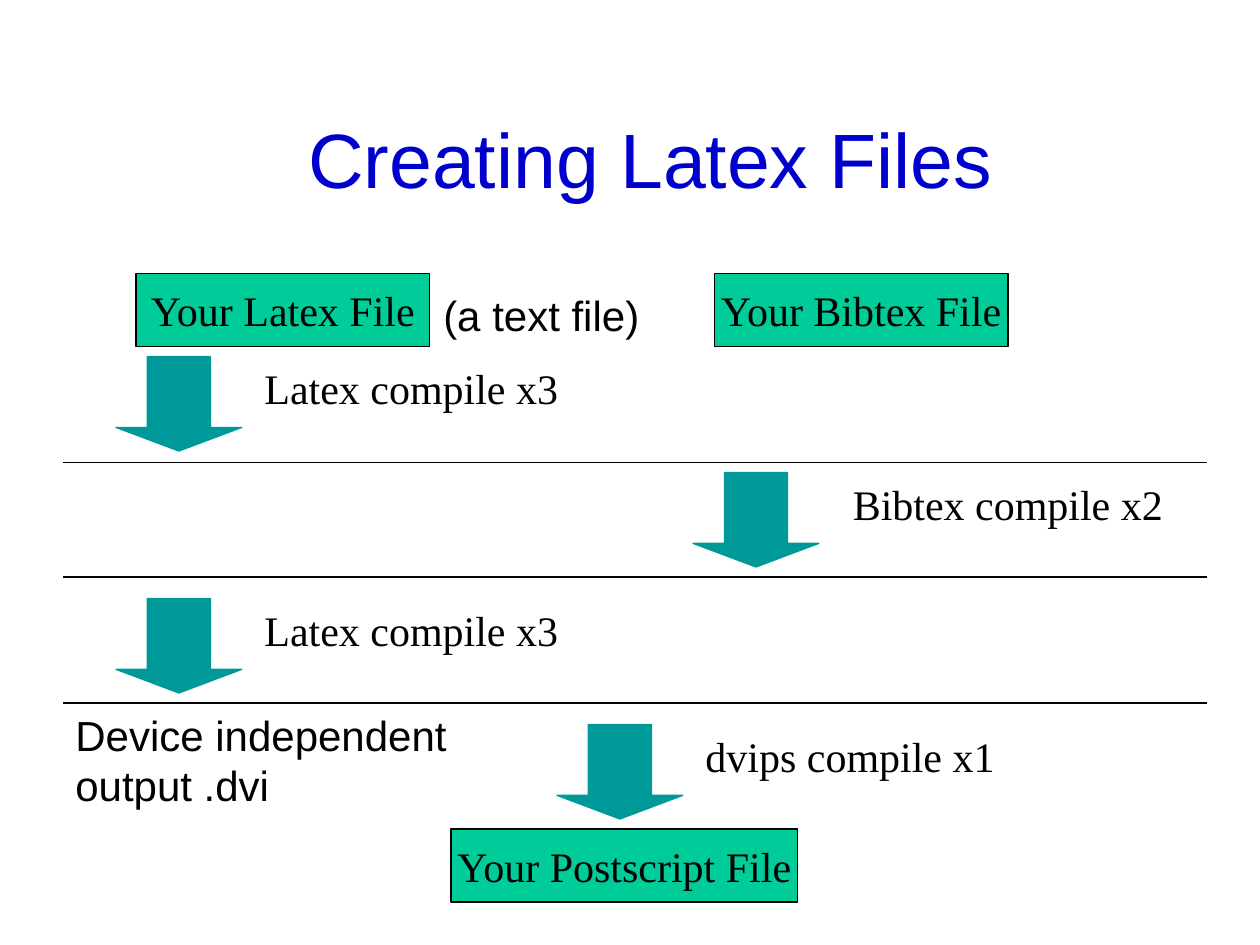
from dataclasses import dataclass

from lxml.etree import SubElement
from pptx import Presentation
from pptx.dml.color import RGBColor
from pptx.enum.shapes import MSO_CONNECTOR, MSO_SHAPE
from pptx.enum.text import MSO_ANCHOR, MSO_AUTO_SIZE, PP_ALIGN
from pptx.oxml.ns import qn
from pptx.util import Inches, Pt


@dataclass(frozen=True)
class Theme:
    title: RGBColor = RGBColor(0x00, 0x00, 0xCC)
    text: RGBColor = RGBColor(0x00, 0x00, 0x00)
    box: RGBColor = RGBColor(0x00, 0xCC, 0x99)
    arrow: RGBColor = RGBColor(0x00, 0x99, 0x99)
    sans: str = "Arial"
    serif: str = "Times New Roman"
    title_size: int = 44
    body_size: int = 24
    line_width: float = 0.75


def write(tf, text, *, font, size, color, align=PP_ALIGN.LEFT,
          anchor=MSO_ANCHOR.TOP, wrap=False, fit=MSO_AUTO_SIZE.NONE):
    """Fill a text frame, one paragraph for each line of text."""
    tf.word_wrap = wrap
    tf.auto_size = fit
    tf.vertical_anchor = anchor
    for i, line in enumerate(text.split("\n")):
        p = tf.paragraphs[0] if i == 0 else tf.add_paragraph()
        p.alignment = align
        r = p.add_run()
        r.text = line
        r.font.name = font
        r.font.size = Pt(size)
        r.font.color.rgb = color


class FlowSlide:
    """Draws the parts of the flow in one style on one slide."""

    def __init__(self, slide, theme):
        self.s = slide
        self.theme = theme

    def title(self, text, x, y, w, h):
        t = self.theme
        sp = self.s.shapes.title
        sp.left, sp.top, sp.width, sp.height = map(Inches, (x, y, w, h))
        write(sp.text_frame, text, font=t.sans, size=t.title_size,
              color=t.title, align=PP_ALIGN.CENTER,
              anchor=MSO_ANCHOR.MIDDLE, wrap=True)

    def shape(self, kind, x, y, w, h, fill, line):
        sp = self.s.shapes.add_shape(kind, *map(Inches, (x, y, w, h)))
        sp.shadow.inherit = False
        sp.fill.solid()
        sp.fill.fore_color.rgb = fill
        sp.line.color.rgb = line
        sp.line.width = Pt(self.theme.line_width)
        return sp

    def file_box(self, text, x, y, w=2.33, h=0.58):
        t = self.theme
        sp = self.shape(MSO_SHAPE.RECTANGLE, x, y, w, h, t.box, t.text)
        write(sp.text_frame, text, font=t.serif, size=t.body_size,
              color=t.text, align=PP_ALIGN.CENTER, anchor=MSO_ANCHOR.MIDDLE)

    def label(self, text, x, y, w, h=0.5, font=None):
        t = self.theme
        box = self.s.shapes.add_textbox(*map(Inches, (x, y, w, h)))
        write(box.text_frame, text, font=font or t.sans, size=t.body_size,
              color=t.text, fit=MSO_AUTO_SIZE.SHAPE_TO_FIT_TEXT)

    def step(self, text, arrow_x, label_x, y, label_w):
        """A down arrow with the compile command beside it."""
        t = self.theme
        sp = self.shape(MSO_SHAPE.DOWN_ARROW, arrow_x, y, 1, 0.75,
                        t.arrow, t.arrow)
        sp.adjustments[0], sp.adjustments[1] = 0.5, 0.25
        self.label(text, label_x, y, label_w, font=t.serif)

    def divider(self, y, left=0.5, right=9.58):
        line = self.s.shapes.add_connector(
            MSO_CONNECTOR.STRAIGHT, *map(Inches, (left, y, right, y)))
        line.line.color.rgb = self.theme.text
        line.line.width = Pt(self.theme.line_width)
        SubElement(line.element.spPr, qn("a:effectLst"))


def main():
    prs = Presentation()
    prs.slide_width, prs.slide_height = Inches(10), Inches(7.5)
    flow = FlowSlide(prs.slides.add_slide(prs.slide_layouts[5]), Theme())

    flow.title("Creating Latex Files", 1.83, 0.92, 6.67, 0.67)

    # Source files
    flow.file_box("Your Latex File", 1.08, 2.17)
    flow.label("(a text file)", 3.42, 2.25, 1.8)
    flow.file_box("Your Bibtex File", 5.67, 2.17)

    # Compile steps, separated by rules
    for text, arrow_x, label_x, y, label_w in (
        ("Latex compile x3", 0.92, 2, 2.83, 2.55),
        ("Bibtex compile x2", 5.5, 6.67, 3.75, 2.7),
        ("Latex compile x3", 0.92, 2, 4.75, 2.55),
        ("dvips compile x1", 4.42, 5.5, 5.75, 2.55),
    ):
        flow.step(text, arrow_x, label_x, y, label_w)
    for y in (3.67, 4.58, 5.58):
        flow.divider(y)

    # Output files
    flow.label("Device independent\noutput .dvi", 0.5, 5.58, 3.2, 0.9)
    flow.file_box("Your Postscript File", 3.58, 6.58, w=2.75)

    prs.save("out.pptx")


if __name__ == "__main__":
    main()
